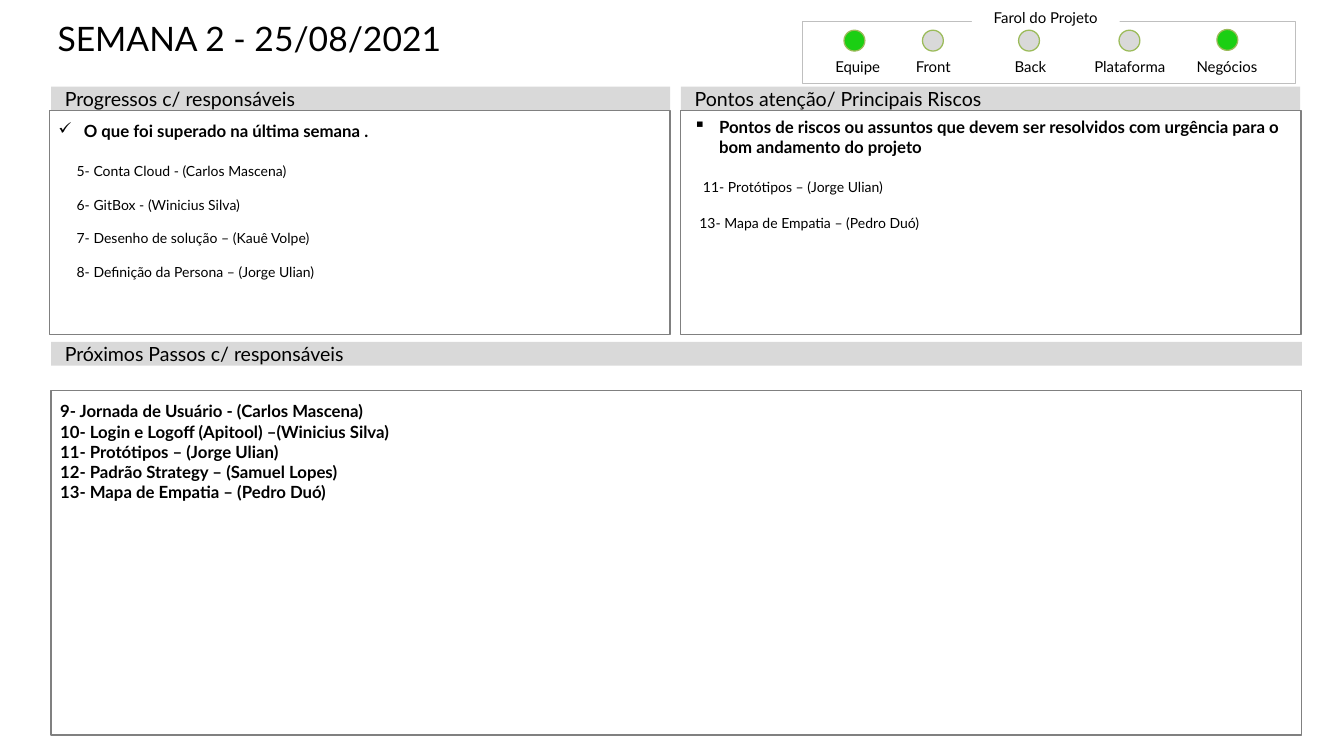
import pptx
import pptx.dml.color
import pptx.enum.shapes
import pptx.enum.text
import pptx.oxml.ns
import pptx.util
from lxml import etree

Cm = pptx.util.Cm
Pt = pptx.util.Pt
SHAPE = pptx.enum.shapes.MSO_SHAPE
ALIGN = pptx.enum.text.PP_ALIGN
ANCHOR = pptx.enum.text.MSO_ANCHOR

COLORS = {
    "text": "000000",
    "white": "FFFFFF",
    "bar": "D9D9D9",
    "border": "808080",
    "panel": "BFBFBF",
    "lamp_off": "D9D9D9",
    "lamp_on": "1BCF13",
    "lamp_edge": "9BBB59",
}
DEFAULT_INSETS = (0.25, 0.13, 0.25, 0.13)
BOX_INSETS = (0.25, 0.3, 0.25, 0.13)
LABEL_INSETS = (0.15, 0.15, 0.15, 0)


class StatusSlide:
    font = "Lato"

    def __init__(self, slide):
        self.slide = slide

    def color(self, name):
        return pptx.dml.color.RGBColor.from_string(COLORS[name])

    def shape(self, kind, left, top, width, height, fill=None, line=None, weight=1):
        shape = self.slide.shapes.add_shape(
            kind, Cm(left), Cm(top), Cm(width), Cm(height))
        shape.shadow.inherit = False
        if fill:
            shape.fill.solid()
            shape.fill.fore_color.rgb = self.color(fill)
        else:
            shape.fill.background()
        if line:
            shape.line.color.rgb = self.color(line)
            shape.line.width = Pt(weight)
        else:
            shape.line.fill.background()
        return shape

    def set_text(self, shape, lines, size, bold=False, align=ALIGN.LEFT,
                 anchor=ANCHOR.TOP, insets=DEFAULT_INSETS, wrap=True, gap=0, bullet=None):
        """Fill a shape with one paragraph per line; gap is the space before later ones."""
        frame = shape.text_frame
        frame.word_wrap = wrap
        frame.vertical_anchor = anchor
        (frame.margin_left, frame.margin_top,
         frame.margin_right, frame.margin_bottom) = map(Cm, insets)
        for index, line in enumerate(lines):
            paragraph = frame.add_paragraph() if index else frame.paragraphs[0]
            paragraph.alignment = align
            if index and gap:
                paragraph.space_before = Pt(gap)
            run = paragraph.add_run()
            run.text = line
            run.font.name = self.font
            run.font.size = Pt(size)
            run.font.bold = bold
            run.font.color.rgb = self.color("text")
            if bullet:
                self.add_bullet(paragraph, bullet)

    def add_bullet(self, paragraph, mark):
        properties = paragraph._p.get_or_add_pPr()
        properties.set("marL", str(Cm(0.71)))
        properties.set("indent", str(-Cm(0.71)))
        etree.SubElement(properties, pptx.oxml.ns.qn("a:buChar")).set("char", mark)

    def text(self, left, top, width, height, lines, size, **style):
        box = self.slide.shapes.add_textbox(Cm(left), Cm(top), Cm(width), Cm(height))
        self.set_text(box, lines, size, **style)

    def bar(self, left, top, width, heading):
        bar = self.shape(SHAPE.RECTANGLE, left, top, width, 0.66, fill="bar")
        self.set_text(bar, [heading], 15.4, anchor=ANCHOR.MIDDLE,
                      insets=(0.38, 0.18, 0.38, 0.18))

    def box(self, left, top, width, height, lines=(), bullet=None):
        box = self.shape(SHAPE.RECTANGLE, left, top, width, height, line="border")
        self.set_text(box, lines, 13.2, bold=True, insets=BOX_INSETS, bullet=bullet)

    def lamp(self, name, center, label_center, top, state):
        self.shape(SHAPE.OVAL, center - 0.29, top, 0.58, 0.58,
                   fill=state, line="lamp_edge")
        self.text(label_center - 1.25, 1.6, 2.5, 0.51, [name], 11.8,
                  align=ALIGN.CENTER, anchor=ANCHOR.BOTTOM,
                  insets=LABEL_INSETS, wrap=False)

    def lamp_panel(self, title, lamps):
        self.shape(SHAPE.RECTANGLE, 22.28, 0.58, 13.72, 1.73, line="panel", weight=0.5)
        label = self.shape(SHAPE.RECTANGLE, 27, 0.15, 4.11, 0.58, fill="white")
        self.set_text(label, [title], 11.8, align=ALIGN.CENTER, anchor=ANCHOR.BOTTOM,
                      insets=LABEL_INSETS, wrap=False)
        for lamp in lamps:
            self.lamp(*lamp)


def main():
    deck = pptx.Presentation()
    deck.slide_width, deck.slide_height = Cm(37.34), Cm(21.01)
    status = StatusSlide(deck.slides.add_slide(deck.slide_layouts[6]))

    status.text(1.3, 0.51, 33.6, 2.24, ["SEMANA 2 - 25/08/2021"], 26.5,
                insets=(0.3, 0, 0.3, 0))
    status.lamp_panel("Farol do Projeto", [
        ("Equipe", 23.74, 23.83, 0.84, "lamp_on"),
        ("Front", 25.92, 25.93, 0.84, "lamp_off"),
        ("Back", 28.59, 28.63, 0.84, "lamp_off"),
        ("Plataforma", 31.38, 31.39, 0.84, "lamp_off"),
        ("Negócios", 34.1, 34.09, 0.82, "lamp_on"),
    ])

    status.bar(1.42, 2.41, 17.2, "Progressos c/ responsáveis")
    status.box(1.37, 3.07, 17.25, 6.22,
               ["O que foi superado na última semana ."], bullet="✓")
    status.text(1.88, 4.39, 15.8, 3.56, [
        "5- Conta Cloud - (Carlos Mascena)",
        "6- GitBox - (Winicius Silva)",
        "7- Desenho de solução – (Kauê Volpe)",
        "8- Definição da Persona – (Jorge Ulian)",
    ], 11, gap=13.2)

    status.bar(18.92, 2.41, 17.2, "Pontos atenção/ Principais Riscos")
    status.box(18.9, 3.07, 17.25, 6.22)
    status.text(19.02, 3.12, 17.12, 1.4, [
        "Pontos de riscos ou assuntos que devem ser resolvidos com urgência "
        "para o bom andamento do projeto",
    ], 13.2, bold=True, bullet="▪")
    status.text(19.28, 4.83, 16.8, 0.74, ["11- Protótipos – (Jorge Ulian)"], 11)
    status.text(19.18, 5.82, 14.63, 0.74, ["13- Mapa de Empatia – (Pedro Duó)"], 11)

    status.bar(1.42, 9.5, 34.75, "Próximos Passos c/ responsáveis")
    status.box(1.42, 10.85, 34.75, 9.58, [
        "9- Jornada de Usuário - (Carlos Mascena)",
        "10- Login e Logoff (Apitool) –(Winicius Silva)",
        "11- Protótipos – (Jorge Ulian)",
        "12- Padrão Strategy – (Samuel Lopes)",
        "13- Mapa de Empatia – (Pedro Duó)",
    ])
    deck.save("out.pptx")


if __name__ == "__main__":
    main()
